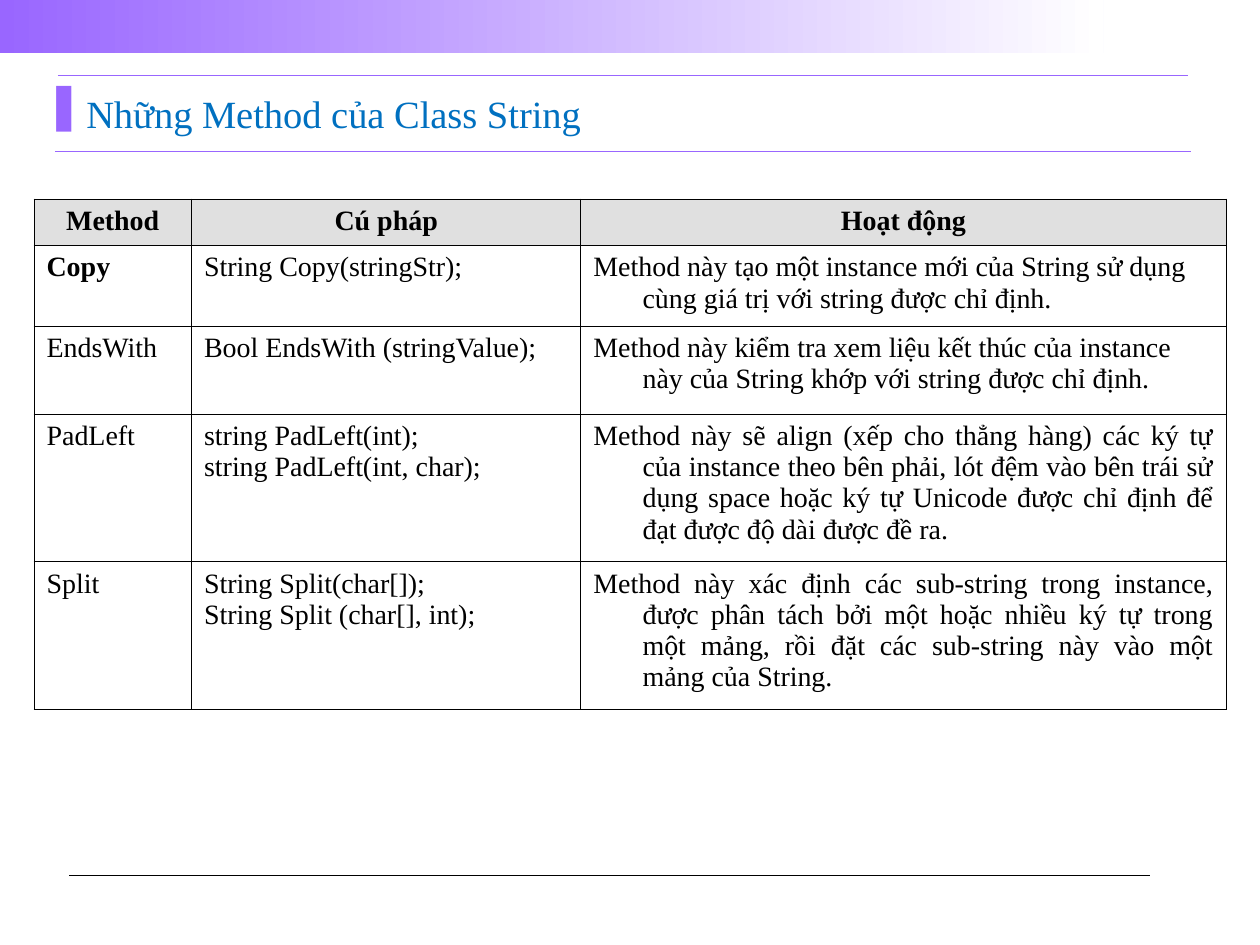
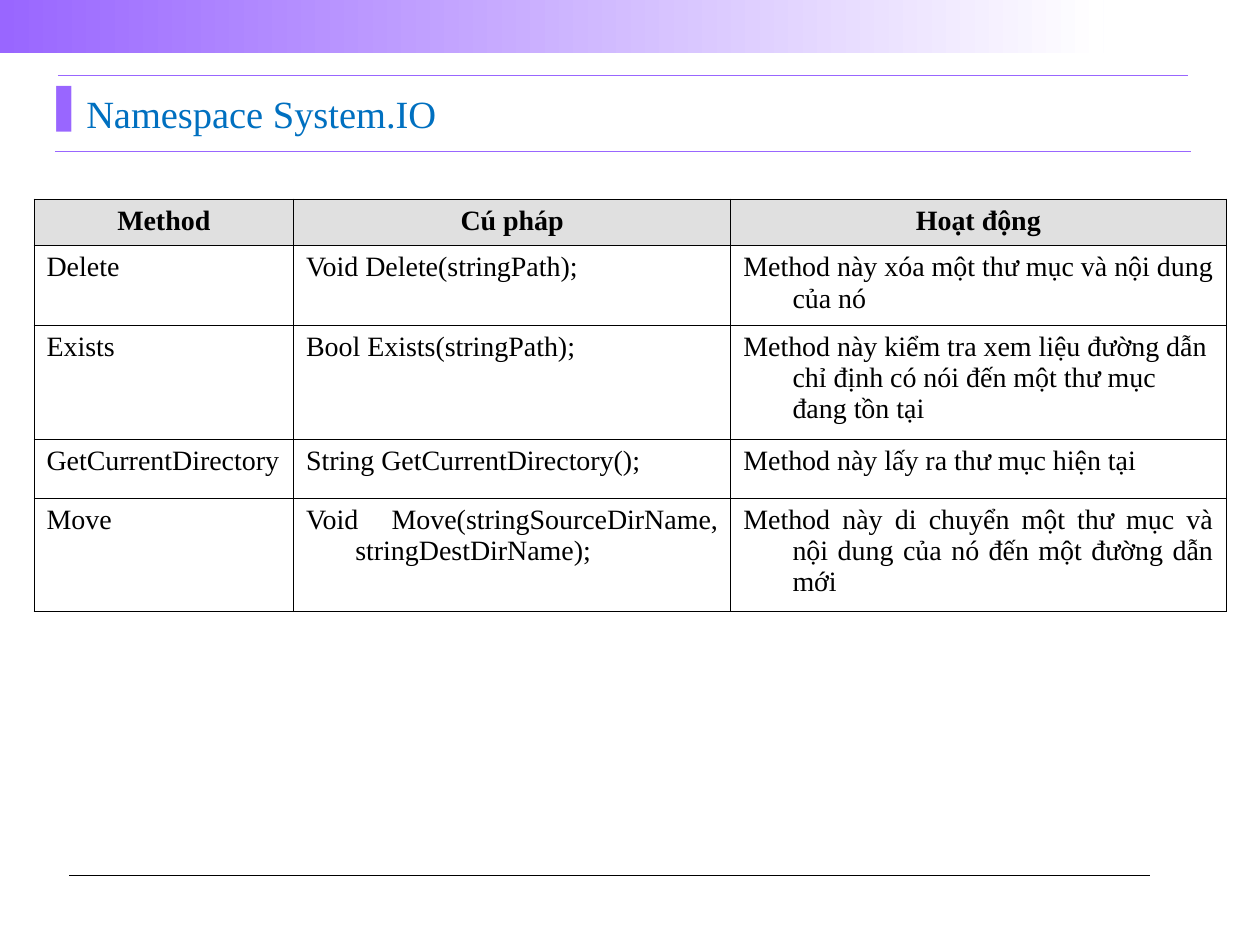
from dataclasses import dataclass

from lxml.etree import SubElement
from pptx import Presentation
from pptx.dml.color import RGBColor
from pptx.enum.shapes import MSO_CONNECTOR as Connector, MSO_SHAPE as Shape
from pptx.enum.text import MSO_ANCHOR as Anchor, PP_ALIGN as Align
from pptx.oxml import parse_xml
from pptx.oxml.ns import nsdecls, qn
from pptx.util import Inches, Pt

SLIDE_W, SLIDE_H = Inches(10), Inches(7.5)
COLUMNS, ROWS = 100, 75


@dataclass(frozen=True)
class Theme:
    font: str = "Times New Roman"
    accent: str = "9966FF"
    paper: str = "FFFFFF"
    ink: str = "000000"
    title: str = "0070C0"
    header: str = "E0E0E0"
    title_size: float = 22
    table_size: float = 16
    border: float = 0.45


@dataclass(frozen=True)
class MethodRow:
    height: float
    name: str
    syntax: str
    action: str
    aligns: tuple = (Align.JUSTIFY, Align.JUSTIFY, Align.JUSTIFY)
    bold_name: bool = False


THEME = Theme()
HEADINGS = ("Method", "Cú pháp", "Hoạt động")
HEADER_HEIGHT = 3.7
LEFT_ACTION = (Align.JUSTIFY, Align.JUSTIFY, Align.LEFT)
LEFT_SYNTAX = (Align.JUSTIFY, Align.LEFT, Align.JUSTIFY)
LEFT_BOTH = (Align.JUSTIFY, Align.LEFT, Align.LEFT)

STRING_METHODS = [
    MethodRow(6.4, "Copy", "String Copy(stringStr);",
              "Method này tạo một instance mới của String sử dụng cùng giá trị "
              "với string được chỉ định.", LEFT_ACTION, bold_name=True),
    MethodRow(7, "EndsWith", "Bool EndsWith (stringValue);",
              "Method này kiểm tra xem liệu kết thúc của instance này của String "
              "khớp với string được chỉ định.", LEFT_BOTH),
    MethodRow(11.7, "PadLeft", "string PadLeft(int);\nstring PadLeft(int, char);",
              "Method này sẽ align (xếp cho thẳng hàng) các ký tự của instance "
              "theo bên phải, lót đệm vào bên trái sử dụng space hoặc ký tự "
              "Unicode được chỉ định để đạt được độ dài được đề ra.", LEFT_SYNTAX),
    MethodRow(11.7, "Split", "String Split(char[]);\nString Split (char[], int);",
              "Method này xác định các sub-string trong instance, được phân tách "
              "bởi một hoặc nhiều ký tự trong một mảng, rồi đặt các sub-string "
              "này vào một mảng của String."),
]
DIRECTORY_METHODS = [
    MethodRow(6.3, "Delete", "Void Delete(stringPath);",
              "Method này xóa một thư mục và nội dung của nó", LEFT_ACTION),
    MethodRow(9, "Exists", "Bool Exists(stringPath);",
              "Method này kiểm tra xem liệu đường dẫn chỉ định có nói đến một "
              "thư mục đang tồn tại", LEFT_BOTH),
    MethodRow(4.7, "GetCurrentDirectory", "String GetCurrentDirectory();",
              "Method này lấy ra thư mục hiện tại", LEFT_SYNTAX),
    MethodRow(9, "Move", "Void Move(stringSourceDirName, stringDestDirName);",
              "Method này di chuyển một thư mục và nội dung của nó đến một "
              "đường dẫn mới"),
]


def across(columns):
    return round(SLIDE_W * columns / COLUMNS)


def down(rows):
    return round(SLIDE_H * rows / ROWS)


def rgb(color):
    return RGBColor.from_string(color)


def write(frame, text, *, size, color, bold=False, align=Align.LEFT,
          hanging=0, bullet=None):
    """Fill a text frame, one paragraph per line, with a hanging indent."""
    frame.word_wrap = True
    for number, line in enumerate(text.split("\n")):
        paragraph = frame.add_paragraph() if number else frame.paragraphs[0]
        paragraph.alignment = align
        run = paragraph.add_run()
        run.text = line
        run.font.name, run.font.size, run.font.bold = THEME.font, Pt(size), bold
        run.font.color.rgb = rgb(color)
        properties = paragraph._p.get_or_add_pPr()
        properties.set("marL", str(across(hanging)))
        properties.set("indent", str(-across(hanging)))
        if bullet:
            bullet_color = SubElement(properties, qn("a:buClr"))
            SubElement(bullet_color, qn("a:srgbClr"), val=THEME.accent)
            SubElement(properties, qn("a:buChar"), char=bullet)


def add_rule(slide, left, right, row, color, weight):
    rule = slide.shapes.add_connector(
        Connector.STRAIGHT, across(left), down(row), across(right), down(row))
    rule.line.color.rgb = rgb(color)
    rule.line.width = Pt(weight)
    SubElement(rule._element.spPr, qn("a:effectLst"))


def add_top_band(slide):
    band = slide.shapes.add_shape(Shape.RECTANGLE, 0, 0, across(87.6), down(4.25))
    band.shadow.inherit = False
    band.line.fill.background()
    band.fill.gradient()
    band.fill.gradient_angle = 0
    stops = zip(band.fill.gradient_stops, (THEME.accent, THEME.paper), (0, 1))
    for stop, color, position in stops:
        stop.color.rgb = rgb(color)
        stop.position = position


def add_title(slide, text):
    title = slide.shapes.add_textbox(across(4.5), down(7.1), across(86.2), down(3.7))
    frame = title.text_frame
    frame.margin_left = frame.margin_right = 0
    frame.margin_top = frame.margin_bottom = 0
    frame.vertical_anchor = Anchor.BOTTOM
    write(frame, text, size=THEME.title_size, color=THEME.title,
          hanging=1.9, bullet="▌")


def add_borders(cell):
    """Borders must come before the fill in the cell's properties."""
    properties = cell._tc.get_or_add_tcPr()
    for place, side in enumerate("LRTB"):
        properties.insert(place, parse_xml(
            f'<a:ln{side} {nsdecls("a")} w="{Pt(THEME.border)}"><a:solidFill>'
            f'<a:srgbClr val="{THEME.ink}"/></a:solidFill></a:ln{side}>'))


def fill_cell(cell, text, *, fill=None, bold=False, align=Align.LEFT):
    write(cell.text_frame, text, size=THEME.table_size, color=THEME.ink,
          bold=bold, align=align, hanging=3.9)
    if fill:
        cell.fill.solid()
        cell.fill.fore_color.rgb = rgb(fill)
    else:
        cell.fill.background()
    add_borders(cell)


def add_method_table(slide, widths, methods):
    heights = [HEADER_HEIGHT] + [method.height for method in methods]
    table = slide.shapes.add_table(
        len(heights), len(widths), across(2.7), down(15.8),
        across(sum(widths)), down(sum(heights))).table
    table.first_row = table.horz_banding = False
    for column, width in zip(table.columns, widths):
        column.width = across(width)
    for row, height in zip(table.rows, heights):
        row.height = down(height)
    for column, heading in enumerate(HEADINGS):
        fill_cell(table.cell(0, column), heading, fill=THEME.header,
                  bold=True, align=Align.CENTER)
    for row, method in enumerate(methods, 1):
        texts = (method.name, method.syntax, method.action)
        for column, (text, align) in enumerate(zip(texts, method.aligns)):
            fill_cell(table.cell(row, column), text, align=align,
                      bold=method.bold_name and column == 0)


def add_method_slide(deck, title, widths, methods):
    slide = deck.slides.add_slide(deck.slide_layouts[6])
    add_top_band(slide)
    add_rule(slide, 4.4, 94.5, 12, THEME.accent, 0.5)
    add_rule(slide, 5.5, 91.3, 69.5, THEME.ink, 0.75)
    add_rule(slide, 4.6, 94.3, 6, THEME.accent, 0.75)
    add_title(slide, title)
    add_method_table(slide, widths, methods)


def main():
    deck = Presentation()
    deck.slide_width, deck.slide_height = SLIDE_W, SLIDE_H
    add_method_slide(deck, "Những Method của Class String",
                     (12.5, 30.9, 51.2), STRING_METHODS)
    add_method_slide(deck, "Namespace System.IO",
                     (20.6, 34.7, 39.3), DIRECTORY_METHODS)
    deck.save("out.pptx")


if __name__ == "__main__":
    main()
